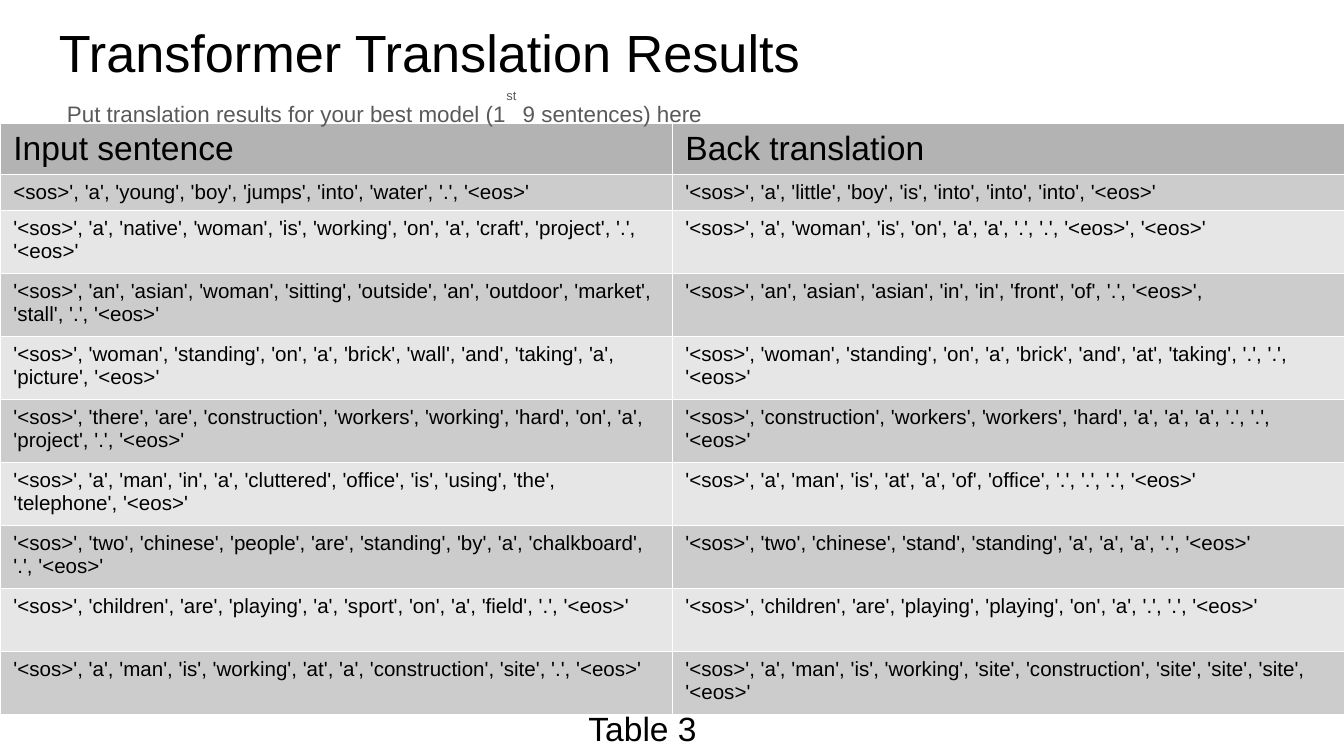
from lxml.etree import SubElement
from pptx import Presentation
from pptx.dml.color import RGBColor as Color
from pptx.enum.text import MSO_ANCHOR as Anchor
from pptx.oxml.ns import qn
from pptx.util import Emu, Inches, Pt

BLACK = Color(0x00, 0x00, 0x00)
GREY = Color(0x59, 0x59, 0x59)
HEAD = Color(0xB3, 0xB3, 0xB3)
DARK = Color(0xCC, 0xCC, 0xCC)
LIGHT = Color(0xE6, 0xE6, 0xE6)
WHITE = Color(0xFF, 0xFF, 0xFF)

ROWS = [
    ("Input sentence", "Back translation"),
    ("<sos>', 'a', 'young', 'boy', 'jumps', 'into', 'water', '.', '<eos>'",
     "'<sos>', 'a', 'little', 'boy', 'is', 'into', 'into', 'into', '<eos>'"),
    ("'<sos>', 'a', 'native', 'woman', 'is', 'working', 'on', 'a', 'craft', 'project', '.', '<eos>'",
     "'<sos>', 'a', 'woman', 'is', 'on', 'a', 'a', '.', '.', '<eos>', '<eos>'"),
    ("'<sos>', 'an', 'asian', 'woman', 'sitting', 'outside', 'an', 'outdoor', 'market', 'stall', '.', '<eos>'",
     "'<sos>', 'an', 'asian', 'asian', 'in', 'in', 'front', 'of', '.', '<eos>',"),
    ("'<sos>', 'woman', 'standing', 'on', 'a', 'brick', 'wall', 'and', 'taking', 'a', 'picture', '<eos>'",
     "'<sos>', 'woman', 'standing', 'on', 'a', 'brick', 'and', 'at', 'taking', '.', '.', '<eos>'"),
    ("'<sos>', 'there', 'are', 'construction', 'workers', 'working', 'hard', 'on', 'a', 'project', '.', '<eos>'",
     "'<sos>', 'construction', 'workers', 'workers', 'hard', 'a', 'a', 'a', '.', '.', '<eos>'"),
    ("'<sos>', 'a', 'man', 'in', 'a', 'cluttered', 'office', 'is', 'using', 'the', 'telephone', '<eos>'",
     "'<sos>', 'a', 'man', 'is', 'at', 'a', 'of', 'office', '.', '.', '.', '<eos>'"),
    ("'<sos>', 'two', 'chinese', 'people', 'are', 'standing', 'by', 'a', 'chalkboard', '.', '<eos>'",
     "'<sos>', 'two', 'chinese', 'stand', 'standing', 'a', 'a', 'a', '.', '<eos>'"),
    ("'<sos>', 'children', 'are', 'playing', 'a', 'sport', 'on', 'a', 'field', '.', '<eos>'",
     "'<sos>', 'children', 'are', 'playing', 'playing', 'on', 'a', '.', '.', '<eos>'"),
    ("'<sos>', 'a', 'man', 'is', 'working', 'at', 'a', 'construction', 'site', '.', '<eos>'",
     "'<sos>', 'a', 'man', 'is', 'working', 'site', 'construction', 'site', 'site', 'site', '<eos>'"),
]
HEIGHTS = [3.8, 2.7] + [4.69] * 8


class Page:
    font = "Arial"
    unit = Inches(0.1)
    edge = Pt(0.06)

    def __init__(self, deck):
        self.slide = deck.slides.add_slide(deck.slide_layouts[6])

    def span(self, count):
        return Emu(round(count * self.unit))

    def style(self, para, size, color):
        for run in para.runs:
            run.font.name = self.font
            run.font.size = Pt(size)
            run.font.color.rgb = color

    def text(self, box, parts, size, color=BLACK, top=0.05):
        shape = self.slide.shapes.add_textbox(*map(self.span, box))
        frame = shape.text_frame
        frame.word_wrap = True
        frame.vertical_anchor = Anchor.TOP
        frame.margin_top = frame.margin_bottom = Inches(top)
        para = frame.paragraphs[0]
        for words, lift in parts:
            run = para.add_run()
            run.text = words
            if lift:
                run.font._element.set("baseline", str(lift * 1000))
        self.style(para, size, color)

    def border(self, cell):
        props = cell._tc.get_or_add_tcPr()
        for spot, side in enumerate(("lnL", "lnR", "lnT", "lnB")):
            line = SubElement(props, qn(f"a:{side}"), w=str(self.edge))
            fill = SubElement(line, qn("a:solidFill"))
            SubElement(fill, qn("a:srgbClr"), val=str(WHITE))
            props.insert(spot, line)

    def table(self, box, rows, heights):
        frame = self.slide.shapes.add_table(
            len(rows), len(rows[0]), *map(self.span, box))
        grid = frame.table
        grid.first_row = grid.horz_banding = False
        for row, height in zip(grid.rows, heights):
            row.height = self.span(height)
        for i, row in enumerate(rows):
            tint = (DARK if i % 2 else LIGHT) if i else HEAD
            for j, words in enumerate(row):
                cell = grid.cell(i, j)
                cell.text_frame.text = words
                self.style(cell.text_frame.paragraphs[0], 11 if i else 18, BLACK)
                cell.fill.solid()
                cell.fill.fore_color.rgb = tint
                self.border(cell)


def main():
    deck = Presentation()
    deck.slide_width = Inches(10)
    deck.slide_height = deck.slide_width * 9 // 16
    page = Page(deck)
    page.table((0, 9.14, 100, sum(HEIGHTS)), ROWS, HEIGHTS)
    page.text((42.8, 52.2, 11, 4), [("Table 3", 0)], 18)
    page.text((3.4, 0.5, 93.2, 6.2),
              [("Transformer Translation Results", 0)], 28, top=0.1)
    page.text((4, 6, 79.6, 6.6),
              [("Put translation results for your best model (1", 0),
               ("st", 101), (" 9 sentences) here", 0)], 12, GREY)
    deck.save("out.pptx")


if __name__ == "__main__":
    main()
